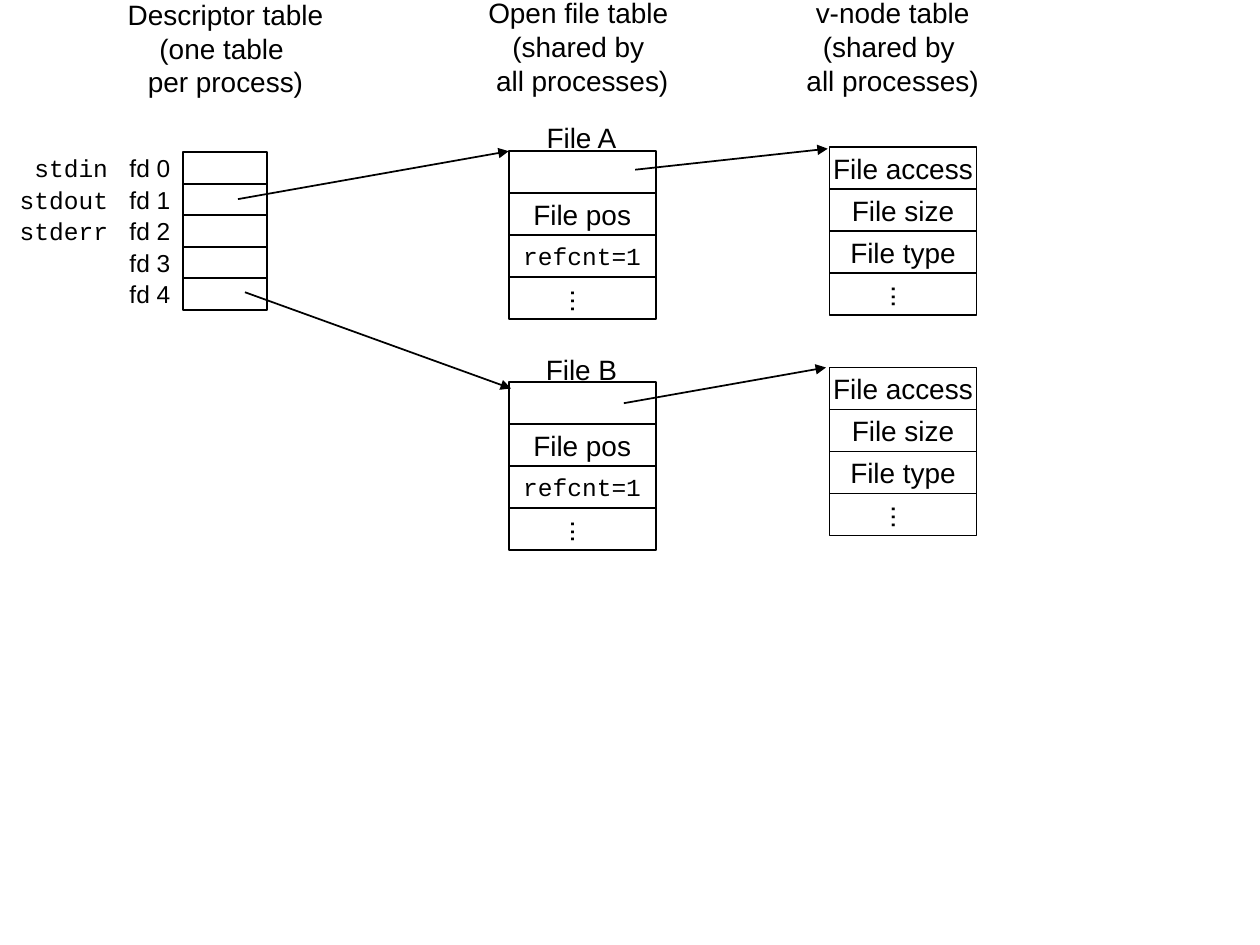
"""Build a slide showing how descriptors, open files and v-nodes are linked."""
from dataclasses import dataclass

from lxml.etree import SubElement
from pptx import Presentation
from pptx.dml.color import RGBColor
from pptx.enum.shapes import MSO_CONNECTOR as Connector, MSO_SHAPE as Preset
from pptx.enum.text import MSO_ANCHOR as Anchor, MSO_AUTO_SIZE as AutoSize, PP_ALIGN as Align
from pptx.oxml.ns import qn
from pptx.util import Pt

BLACK = "000000"
FD_ROW, FILE_ROW = 18, 24
FD_LEFT, FD_TOP, FD_WIDTH = 104.5, 87, 48
STREAM_RIGHT, STREAM_HEIGHT, CODE_CHAR = 69, 24, 8.4


@dataclass(frozen=True)
class Style:
    font: str = "Arial"
    size: float = 16
    align: Align = Align.CENTER
    vertical: bool = False
    grow: bool = False


@dataclass(frozen=True)
class Entry:
    text: str
    style: Style = Style()


@dataclass(frozen=True)
class Record:
    left: float
    top: float
    entries: tuple[Entry, ...]


@dataclass(frozen=True)
class Label:
    text: str
    left: float
    top: float
    width: float
    height: float
    style: Style = Style(grow=True)


@dataclass(frozen=True)
class Pointer:
    start_x: float
    start_y: float
    end_x: float
    end_y: float


CODE = Style(font="Courier New", size=14)
STREAM = Style(font="Courier New", size=14, align=Align.LEFT, grow=True)
FD = Style(size=14, align=Align.RIGHT)
MORE = Entry("...", Style(vertical=True))
OPEN_FILE = (Entry(""), Entry("File pos"), Entry("refcnt=1", CODE), MORE)
V_NODE = (Entry("File access"), Entry("File size"), Entry("File type"), MORE)

RECORDS = (
    Record(290.7, 86.4, OPEN_FILE),
    Record(290.7, 218.2, OPEN_FILE),
    Record(474, 84, V_NODE),
    Record(474, 210, V_NODE),
)
LABELS = (
    Label("Descriptor table\n(one table \nper process)", 65.5, -5, 126.7, 65),
    Label("Open file table \n(shared by \nall processes)", 271.5, -6, 122.4, 65),
    Label("v-node table\n(shared by \nall processes)", 453.6, -6, 113, 65),
    Label("File A", 304.6, 65, 55.4, 26.6),
    Label("File B", 304.6, 198, 55.4, 26.6),
)
POINTERS = (
    Pointer(136, 113.8, 290.7, 86.4),
    Pointer(140, 167, 292, 222),
    Pointer(363, 97, 473, 85),
    Pointer(356.5, 230.4, 472, 210),
)


def color(hex_code: str) -> RGBColor:
    return RGBColor.from_string(hex_code)


def write(shape, text: str, style: Style) -> None:
    frame = shape.text_frame
    frame.text = text
    frame.word_wrap = False
    frame.vertical_anchor = Anchor.MIDDLE
    frame.auto_size = AutoSize.SHAPE_TO_FIT_TEXT if style.grow else AutoSize.NONE
    if style.vertical:
        frame._txBody.bodyPr.set("vert", "eaVert")
    for paragraph in frame.paragraphs:
        paragraph.alignment = style.align
        for run in paragraph.runs:
            run.font.name = style.font
            run.font.size = Pt(style.size)
            run.font.color.rgb = color(BLACK)


def draw_cell(slide, left: float, top: float, width: float, height: float, entry: Entry) -> None:
    cell = slide.shapes.add_shape(Preset.RECTANGLE, Pt(left), Pt(top), Pt(width), Pt(height))
    cell.shadow.inherit = False
    cell.fill.background()
    cell.line.color.rgb = color(BLACK)
    cell.line.width = Pt(1)
    if entry.text:
        write(cell, entry.text, entry.style)


def draw_label(slide, label: Label) -> None:
    box = slide.shapes.add_textbox(
        Pt(label.left), Pt(label.top), Pt(label.width), Pt(label.height))
    write(box, label.text, label.style)


def draw_record(slide, record: Record) -> None:
    for row, entry in enumerate(record.entries):
        draw_cell(slide, record.left, record.top + row * FILE_ROW, 84, FILE_ROW, entry)


def draw_pointer(slide, pointer: Pointer) -> None:
    arrow = slide.shapes.add_connector(
        Connector.STRAIGHT, Pt(pointer.start_x), Pt(pointer.start_y),
        Pt(pointer.end_x), Pt(pointer.end_y))
    arrow.line.color.rgb = color(BLACK)
    arrow.line.width = Pt(1)
    SubElement(arrow.line._get_or_add_ln(), qn("a:tailEnd"), type="triangle")
    SubElement(arrow._element.spPr, qn("a:effectLst"))


def draw_descriptors(slide) -> None:
    for number in range(5):
        top = FD_TOP + number * FD_ROW
        draw_cell(slide, FD_LEFT, top, FD_WIDTH, FD_ROW, Entry(""))
        draw_label(slide, Label(f"fd {number}", FD_LEFT - FD_WIDTH, top, FD_WIDTH, FD_ROW, FD))
    for number, stream in enumerate(("stdin", "stdout", "stderr")):
        width = len(stream) * CODE_CHAR + 14.4
        top = FD_TOP + number * FD_ROW + (FD_ROW - STREAM_HEIGHT) / 2
        draw_label(slide, Label(stream, STREAM_RIGHT - width, top, width, STREAM_HEIGHT, STREAM))


def main() -> None:
    deck = Presentation()
    deck.slide_width, deck.slide_height = Pt(720), Pt(540)
    slide = deck.slides.add_slide(deck.slide_layouts[6])
    draw_descriptors(slide)
    for record in RECORDS:
        draw_record(slide, record)
    for label in LABELS:
        draw_label(slide, label)
    for pointer in POINTERS:
        draw_pointer(slide, pointer)
    deck.save("out.pptx")


if __name__ == "__main__":
    main()
